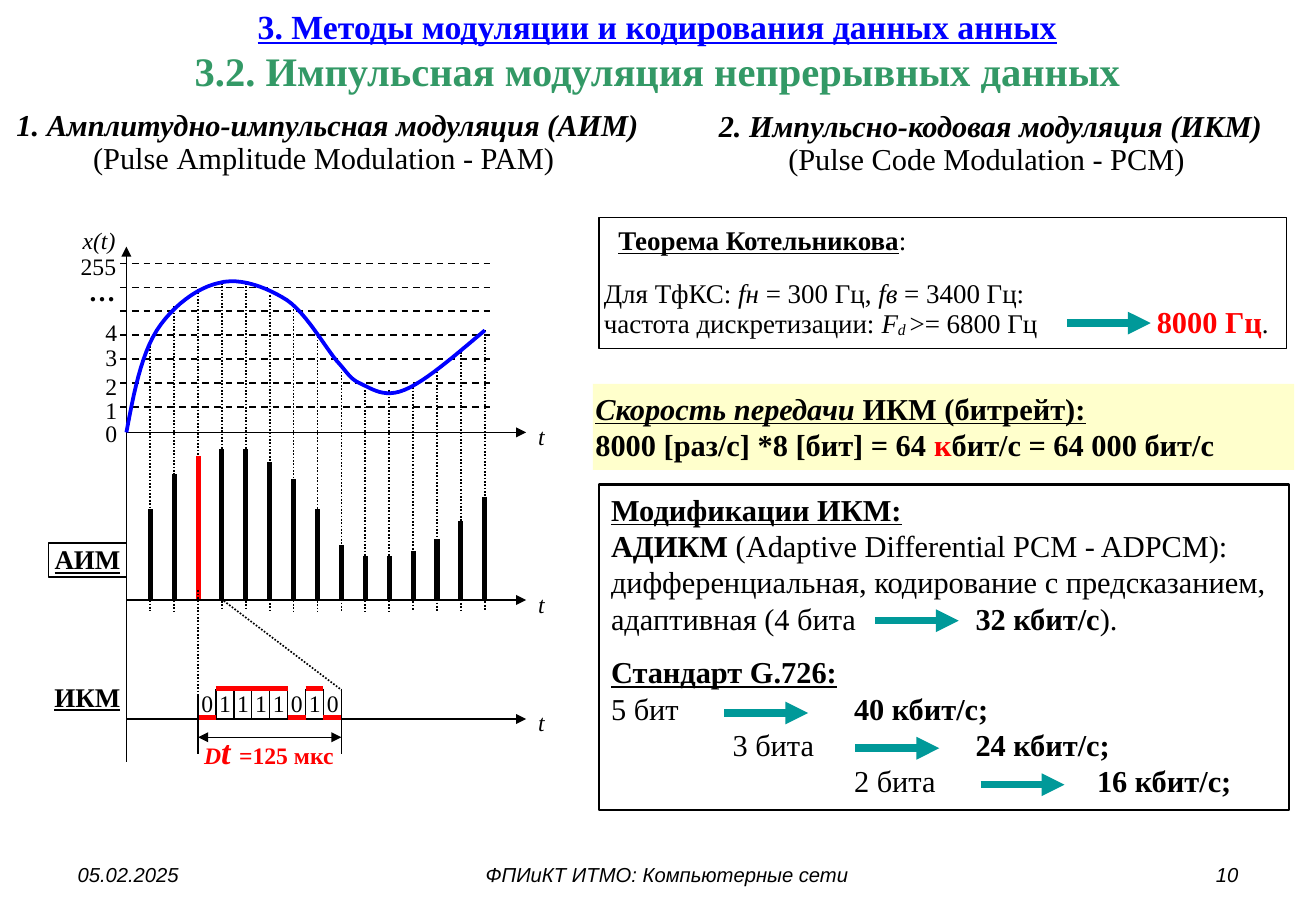
import itertools

import pptx
import pptx.dml.color
import pptx.enum.dml
import pptx.enum.shapes
import pptx.enum.text
import pptx.oxml
import pptx.oxml.ns
import pptx.util

Inches = pptx.util.Inches
Pt = pptx.util.Pt
ALIGN = pptx.enum.text.PP_ALIGN
DASH = pptx.enum.dml.MSO_LINE

COLORS = {"black": "000000", "white": "FFFFFF", "red": "FF0000", "blue": "0000FF",
          "green": "339966", "teal": "009999", "yellow": "FFFFCC"}

# Time axis of the plots and the sampled signal
ORIGIN_X, AXIS_END = 1.04, 4.33
SAMPLE_STEP = 2.95 / 15
SIGNAL_TOPS = [2.82, 2.52, 2.38, 2.33, 2.33, 2.43, 2.52, 2.77,
               3.06, 3.21, 3.21, 3.16, 3.06, 2.87, 2.72]
PULSE_TOPS = [4.19, 3.9, 3.75, 3.7, 3.7, 3.8, 3.94, 4.19,
              4.49, 4.58, 4.58, 4.54, 4.44, 4.29, 4.09]
CODED_SAMPLE = 3
CURVE_START = (1.04, 3.56)
CURVE = [
    ((1.1, 3.24), (1.16, 2.93), (1.29, 2.72)),
    ((1.42, 2.52), (1.62, 2.37), (1.8, 2.33)),
    ((1.98, 2.28), (2.2, 2.37), (2.36, 2.47)),
    ((2.52, 2.58), (2.67, 2.85), (2.77, 2.97)),
    ((2.87, 3.08), (2.88, 3.12), (2.97, 3.16)),
    ((3.06, 3.2), (3.16, 3.28), (3.33, 3.21)),
    ((3.5, 3.14), (3.74, 2.93), (3.99, 2.72)),
]
BITS = "01111010"
BIT_LEFT, BIT_RIGHT, BIT_HIGH, BIT_LOW = 1.63, 2.81, 5.67, 5.91


def rgb(name):
    return pptx.dml.color.RGBColor.from_string(COLORS[name])


def add_run(p, text, style="", color="black", size=18, font="Times New Roman"):
    """Style letters: b bold, i italic, u underlined, d lowered."""
    r = p.add_run()
    r.text = text
    r.font.name = font
    r.font.size = Pt(size)
    r.font.color.rgb = rgb(color)
    r.font.bold, r.font.italic, r.font.underline = (k in style for k in "biu")
    if "d" in style:
        r._r.get_or_add_rPr().set("baseline", "-4000")


def fill_text(tf, paragraphs, margins=(0, 0), align=ALIGN.LEFT, spacing=None,
              anchor=pptx.enum.text.MSO_ANCHOR.TOP):
    tf.word_wrap = True
    tf.auto_size = pptx.enum.text.MSO_AUTO_SIZE.NONE
    tf.vertical_anchor = anchor
    tf.margin_left = tf.margin_right = Inches(margins[0])
    tf.margin_top = tf.margin_bottom = Inches(margins[1])
    for i, runs in enumerate(paragraphs):
        p = tf.add_paragraph() if i else tf.paragraphs[0]
        p.alignment = align
        if spacing:
            p.line_spacing = spacing
        for run in runs:
            add_run(p, *run)


def add_text(s, at, paragraphs, **layout):
    sp = s.shapes.add_textbox(*map(Inches, at))
    fill_text(sp.text_frame, paragraphs, **layout)
    return sp


def add_label(s, at, text, style="", size=14):
    add_text(s, at, [[(text, style, "black", size)]], align=ALIGN.CENTER)


def add_box(s, at, fill=None, line=None):
    sp = s.shapes.add_shape(pptx.enum.shapes.MSO_SHAPE.RECTANGLE, *map(Inches, at))
    sp.shadow.inherit = False
    if fill:
        sp.fill.solid()
        sp.fill.fore_color.rgb = rgb(fill)
    else:
        sp.fill.background()
    if line:
        sp.line.color.rgb = rgb("black")
        sp.line.width = Pt(line)
    else:
        sp.line.fill.background()
    return sp


def add_line(s, x1, y1, x2, y2, color="black", width=0.75, dash=None, ends=()):
    c = s.shapes.add_connector(pptx.enum.shapes.MSO_CONNECTOR.STRAIGHT,
                               *map(Inches, (x1, y1, x2, y2)))
    c.line.color.rgb = rgb(color)
    c.line.width = Pt(width)
    if dash:
        c.line.dash_style = dash
    ln = c.line._get_or_add_ln()
    for end in ends:
        arrow = pptx.oxml.parse_xml(f'<a:{end} {pptx.oxml.ns.nsdecls("a")} type="triangle"/>')
        ln.append(arrow)
    c._element.spPr.append(pptx.oxml.parse_xml(f'<a:effectLst {pptx.oxml.ns.nsdecls("a")}/>'))


def add_dotted(s, x1, y1, x2, y2):
    add_line(s, x1, y1, x2, y2, width=1, dash=DASH.ROUND_DOT)


def add_result_arrow(s, x, y):
    add_line(s, x, y, x + 0.69, y, "teal", 4.5, ends=["tailEnd"])


def add_time_axis(s, y, label_top):
    add_line(s, ORIGIN_X, y, AXIS_END, y, ends=["tailEnd"])
    add_label(s, (4.38, label_top, 0.15, 0.24), "t", "i")


def set_tabs(p, *stops):
    tabs = "".join(f'<a:tab pos="{Inches(x)}" algn="l"/>' for x in stops)
    p._p.get_or_add_pPr().append(pptx.oxml.parse_xml(
        f'<a:tabLst {pptx.oxml.ns.nsdecls("a")}>{tabs}</a:tabLst>'))


def add_curve(s, steps=12):
    points, start = [], CURVE_START
    for c1, c2, end in CURVE:
        for t in (k / steps for k in range(1, steps + 1)):
            points.append(tuple(
                Inches((1 - t) ** 3 * a + 3 * (1 - t) ** 2 * t * b + 3 * (1 - t) * t ** 2 * c + t ** 3 * d)
                for a, b, c, d in zip(start, c1, c2, end)))
        start = end
    builder = s.shapes.build_freeform(*map(Inches, CURVE_START))
    builder.add_line_segments(points, close=False)
    sp = builder.convert_to_shape()
    sp.shadow.inherit = False
    sp.fill.background()
    sp.line.color.rgb = rgb("blue")
    sp.line.width = Pt(2.25)


def add_sampling_plot(s):
    # Axes and quantisation levels
    add_line(s, ORIGIN_X, 2.03, ORIGIN_X, 6.27, ends=["headEnd"])
    add_time_axis(s, 3.56, 3.47)
    add_time_axis(s, 4.94, 4.86)
    for i in range(7):
        y = 2.17 + i * 1.18 / 6
        add_line(s, 0.99, y, 4.04, y, width=1, dash=DASH.DASH)
    for text, top in zip("01234", (3.45, 3.26, 3.06, 2.82, 2.62)):
        add_label(s, (0.84, top, 0.15, 0.24), text)
    add_label(s, (0.64, 2.07, 0.34, 0.24), "255")
    add_label(s, (0.69, 2.26, 0.3, 0.27), "…", "b", 16)
    add_label(s, (0.62, 1.86, 0.39, 0.24), "x(t)", "i")
    # Samples and pulses
    for i, (top, pulse) in enumerate(zip(SIGNAL_TOPS, PULSE_TOPS), 1):
        x = ORIGIN_X + i * SAMPLE_STEP
        add_dotted(s, x, top, x, 5.03)
        add_line(s, x, 4.93, x, pulse, "red" if i == CODED_SAMPLE else "black", 3)
    add_curve(s)
    sp = add_box(s, (0.4, 4.47, 0.64, 0.28), line=0.75)
    fill_text(sp.text_frame, [[("АИМ", "bu", "black", 16)]], align=ALIGN.CENTER)


def add_code_plot(s):
    add_time_axis(s, 5.92, 5.83)
    add_label(s, (0.4, 5.6, 0.64, 0.27), "ИКМ", "bu", 16)
    add_dotted(s, BIT_LEFT, 4.86, BIT_LEFT, 6.08)
    add_dotted(s, 1.82, 4.93, BIT_RIGHT, 5.68)
    # Bits, dividers and the signal level
    step = (BIT_RIGHT - BIT_LEFT) / len(BITS)
    for i, bit in enumerate(BITS):
        x = BIT_LEFT + i * step
        add_label(s, (x, BIT_HIGH, 0.15, 0.24), bit)
        if i:
            add_line(s, x, BIT_HIGH, x, BIT_LOW)
    x = BIT_LEFT
    for bit, group in itertools.groupby(BITS):
        end = x + len(list(group)) * step
        y = BIT_HIGH if bit == "1" else BIT_LOW
        add_line(s, x, y, end, y, "red", 3)
        x = end
    # Sampling interval
    add_line(s, BIT_LEFT, 5.72, BIT_LEFT, 6.21)
    add_line(s, BIT_RIGHT, BIT_HIGH, BIT_RIGHT, 6.21)
    add_line(s, BIT_LEFT, 6.07, BIT_RIGHT, 6.07, ends=["headEnd", "tailEnd"])
    add_text(s, (1.68, 6.02, 1.13, 0.33), [[
        ("D", "bi", "red", 14), ("t ", "bi", "red", 20), ("=125 мкс", "b", "red", 14)]])


def add_theorem(s):
    add_box(s, (4.93, 1.79, 5.66, 1.08), line=0.75)
    add_text(s, (4.99, 1.79, 2.9, 0.37), [[
        ("Теорема Котельникова", "bu", "black", 16), (":", "", "black", 16)]], margins=(0.1, 0.05))
    sp = add_text(s, (4.95, 2.27, 5.56, 0.59), [
        [(text, style, "black", 16) for text, style in (
            ("Для ТфКС: ", ""), ("fн", "i"), (" = 300 Гц, ", ""), ("fв", "i"), (" = 3400 Гц:", ""))],
        [("частота дискретизации: ", "", "black", 16), ("F", "i", "black", 16),
         ("d ", "id", "black", 16), (">= 6800 Гц\t", "", "black", 16),
         ("8000 Гц", "b", "red"), (".", "", "black", 16)],
    ], margins=(0.02, 0.05), spacing=0.85)
    set_tabs(sp.text_frame.paragraphs[1], 4.55)
    add_result_arrow(s, 8.78, 2.66)


def add_bitrate(s):
    sp = add_box(s, (4.88, 3.16, 5.77, 0.71), fill="yellow")
    fill_text(sp.text_frame, [
        [("Скорость передачи ", "biu"), ("ИКМ (битрейт):", "bu")],
        [("8000 [раз/с] *8 [бит] = 64 ", "b"), ("к", "b", "red"), ("бит/с = 64 000 бит/с", "b")],
    ], margins=(0.02, 0.05))


def add_modifications(s):
    sp = add_box(s, (4.93, 3.99, 5.68, 2.68), fill="white", line=1.5)
    fill_text(sp.text_frame, [
        [("Модификации ИКМ:", "bu")],
        [("АДИКМ", "b"), (" (Adaptive Differential PCM - ADPCM):",)],
        [("дифференциальная, кодирование с предсказанием, адаптивная (4 бита\t",),
         ("32 кбит/с", "b"), (").",)],
        [("Стандарт G.726:", "bu")],
        [("5 бит\t",), ("40 кбит/с;", "b")],
        [("\t3 бита\t",), ("24 кбит/с;", "b")],
        [("\t2 бита\t",), ("16 кбит/с;", "b")],
    ], margins=(0.1, 0.05))
    ps = sp.text_frame.paragraphs
    ps[3].space_before = Pt(10)
    for p, stops in ((ps[2], [3]), (ps[4], [2]), (ps[5], [1, 3]), (ps[6], [2, 4])):
        set_tabs(p, *stops)
    for x, y in ((7.2, 5.11), (5.96, 5.87), (7.04, 6.16), (8.07, 6.46)):
        add_result_arrow(s, x, y)


def add_title(s):
    sp = s.shapes.title
    sp.left, sp.top, sp.width, sp.height = map(Inches, (0.17, 0.04, 10.48, 0.74))
    fill_text(sp.text_frame, [
        [("3. Методы модуляции и кодирования данных анных", "bu", "blue", 20)],
        [("3.2. Импульсная модуляция непрерывных данных", "b", "green", 24)],
    ], margins=(0.04, 0), align=ALIGN.CENTER, anchor=pptx.enum.text.MSO_ANCHOR.MIDDLE)


def main():
    prs = pptx.Presentation()
    prs.slide_width, prs.slide_height = Inches(10.83), Inches(7.5)
    s = prs.slides.add_slide(prs.slide_layouts[5])
    add_title(s)
    # Column headings
    for at, name, english in (
            ((0.1, 0.9, 5.19, 0.57), "1. Амплитудно-импульсная модуляция (АИМ)",
             "(Pulse Аmplitude Modulation - PAM) "),
            ((5.74, 0.91, 4.82, 0.57), "2. Импульсно-кодовая модуляция (ИКМ)",
             "(Pulse Code Modulation - PCM) ")):
        add_text(s, at, [[(name, "bi")], [(english,)]],
                 margins=(0.02, 0.01), align=ALIGN.CENTER, spacing=0.9)
    # Left column: plots
    add_sampling_plot(s)
    add_code_plot(s)
    # Right column: formulas and standards
    add_theorem(s)
    add_bitrate(s)
    add_modifications(s)
    # Footer
    for x, width, text, align in ((0.54, 2.53, "05.02.2025", ALIGN.LEFT),
                                  (3.35, 4.28, "ФПИиКТ ИТМО: Компьютерные сети", ALIGN.CENTER),
                                  (7.76, 2.53, "10", ALIGN.RIGHT)):
        add_text(s, (x, 7.05, width, 0.3), [[(text, "i", "black", 12, "Arial")]],
                 margins=(0.1, 0.05), align=align)
    prs.save("out.pptx")


if __name__ == "__main__":
    main()
